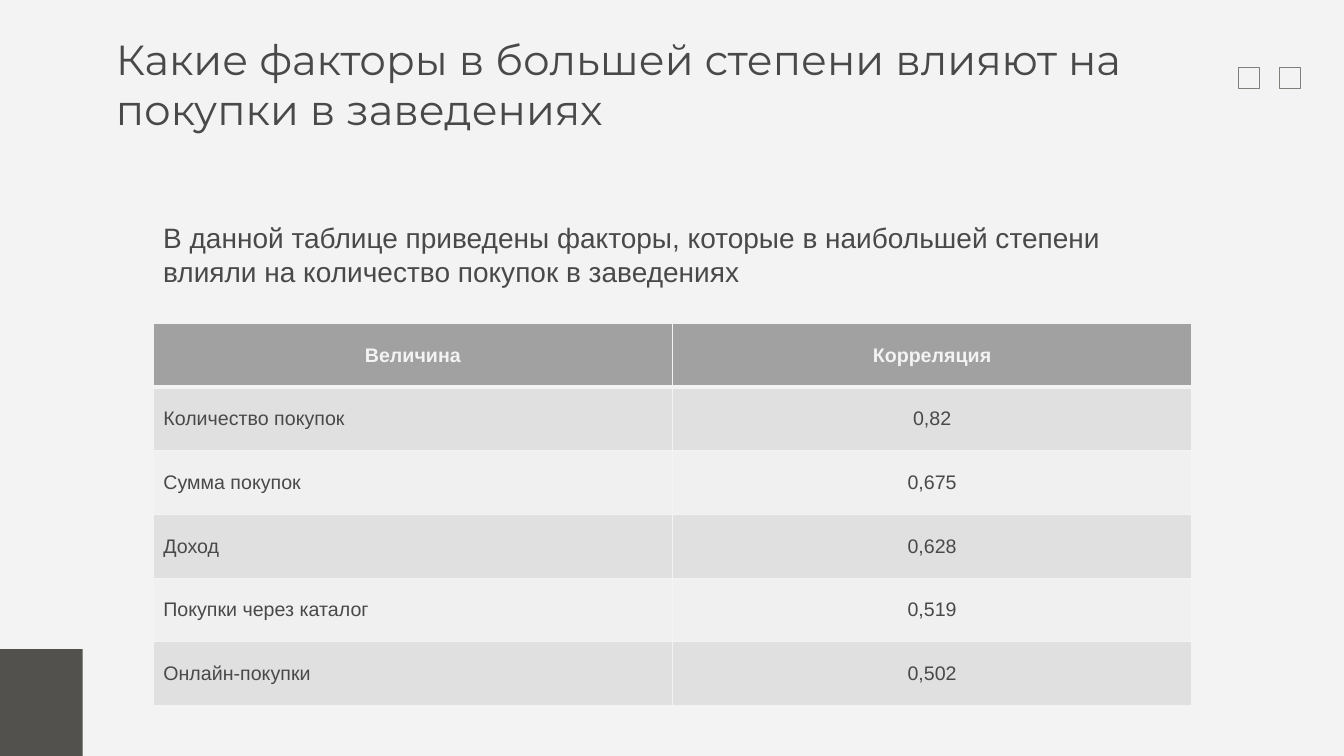
from pptx import Presentation
from pptx.dml.color import RGBColor
from pptx.enum.shapes import MSO_SHAPE
from pptx.enum.text import MSO_ANCHOR, PP_ALIGN
from pptx.oxml.ns import qn
from pptx.util import Inches, Pt
from lxml import etree

RECTANGLE = MSO_SHAPE.RECTANGLE
TOP, MIDDLE = MSO_ANCHOR.TOP, MSO_ANCHOR.MIDDLE
LEFT, CENTER = PP_ALIGN.LEFT, PP_ALIGN.CENTER
WIDTH, HEIGHT = 13.33, 7.5
COLORS = {
    "paper": "F3F3F3",
    "ink": "494949",
    "outline": "807F7A",
    "corner": "52514D",
    "header": "A1A1A1",
    "odd": "E0E0E0",
    "even": "F0F0F0",
}
TITLE = "Какие факторы в большей степени влияют на покупки в заведениях"
INTRO = ("В данной таблице приведены факторы, которые в наибольшей степени "
         "влияли на количество покупок в заведениях")
FACTORS = [
    ("Величина", "Корреляция"),
    ("Количество покупок", "0,82"),
    ("Сумма покупок", "0,675"),
    ("Доход", "0,628"),
    ("Покупки через каталог", "0,519"),
    ("Онлайн-покупки", "0,502"),
]


def color(name):
    """Return the named colour."""
    return RGBColor.from_string(COLORS[name])


def write(frame, text, size, font="Arial", ink="ink", bold=False, align=LEFT):
    """Put one formatted paragraph into a text frame."""
    frame.text = text
    para = frame.paragraphs[0]
    para.alignment = align
    for span in para.runs:
        span.font.size = Pt(size)
        span.font.name = font
        span.font.bold = bold
        span.font.color.rgb = color(ink)


def add_text(page, box, text, size, font="Arial", margin=0.05):
    """Add a wrapped text box."""
    frame = page.shapes.add_textbox(*map(Inches, box)).text_frame
    frame.word_wrap = True
    frame.vertical_anchor = TOP
    frame.margin_left = frame.margin_right = Inches(0.1)
    frame.margin_top = frame.margin_bottom = Inches(margin)
    write(frame, text, size, font)


def add_rectangle(page, box, fill=None, outline=None):
    """Add a flat rectangle with an optional fill and outline."""
    shape = page.shapes.add_shape(RECTANGLE, *map(Inches, box))
    shape.shadow.inherit = False
    if fill:
        shape.fill.solid()
        shape.fill.fore_color.rgb = color(fill)
    else:
        shape.fill.background()
    if outline:
        shape.line.color.rgb = color(outline)
        shape.line.width = Pt(0.75)
    else:
        shape.line.fill.background()


def add_decor(page, box):
    """Place the two small squares and the corner block on the page."""
    left, top, width, height = box
    side, step = 0.21, 0.41
    for index in range(2):
        square = (left + width - 1.05 + index * step, top + 0.67, side, side)
        add_rectangle(page, square, outline="outline")
    block_width, block_height = 0.82, 1.06
    corner = (left, top + height - block_height, block_width, block_height)
    add_rectangle(page, corner, fill="corner")


def set_borders(cell, bottom):
    """Draw the four borders of a cell in the paper colour."""
    properties = cell._tc.get_or_add_tcPr()
    widths = {"a:lnL": 1, "a:lnR": 1, "a:lnT": 1, "a:lnB": bottom}
    for index, (tag, width) in enumerate(widths.items()):
        line = etree.Element(qn(tag), w=str(Pt(width)))
        fill = etree.SubElement(line, qn("a:solidFill"))
        etree.SubElement(fill, qn("a:srgbClr"), val=COLORS["paper"])
        properties.insert(index, line)


def add_factor_table(page, box):
    """Add the table of factors with equal rows and columns."""
    row_count, column_count = len(FACTORS), len(FACTORS[0])
    frame = page.shapes.add_table(row_count, column_count, *map(Inches, box))
    table = frame.table
    for row in table.rows:
        row.height = Inches(box[3] / row_count)
    for row, values in enumerate(FACTORS):
        is_header = row == 0
        fill = "header" if is_header else ("even", "odd")[row % 2]
        for column, value in enumerate(values):
            cell = table.cell(row, column)
            cell.vertical_anchor = MIDDLE
            cell.fill.solid()
            cell.fill.fore_color.rgb = color(fill)
            align = CENTER if is_header or column else LEFT
            write(cell.text_frame, value, 14, bold=is_header, align=align,
                  ink="paper" if is_header else "ink")
            set_borders(cell, 3 if row < 1 else 1)


def add_content(page, box):
    """Place the introduction above the factor table."""
    left, top, width, height = box
    intro_height, table_offset = 0.77, 1.07
    add_text(page, (left, top, width, intro_height), INTRO, 20)
    add_factor_table(
        page, (left, top + table_offset, width, height - table_offset))


def main():
    """Build and save the deck."""
    deck = Presentation()
    deck.slide_width, deck.slide_height = Inches(WIDTH), Inches(HEIGHT)
    page = deck.slides.add_slide(deck.slide_layouts[6])
    page.background.fill.solid()
    page.background.fill.fore_color.rgb = color("paper")
    add_decor(page, (0, 0, WIDTH, HEIGHT))
    add_text(page, (1.05, 0.23, 11.23, 0.84), TITLE, 30, "Montserrat", 0.1)
    add_content(page, (1.52, 2.14, 10.3, 4.86))
    deck.save("out.pptx")


if __name__ == "__main__":
    main()
